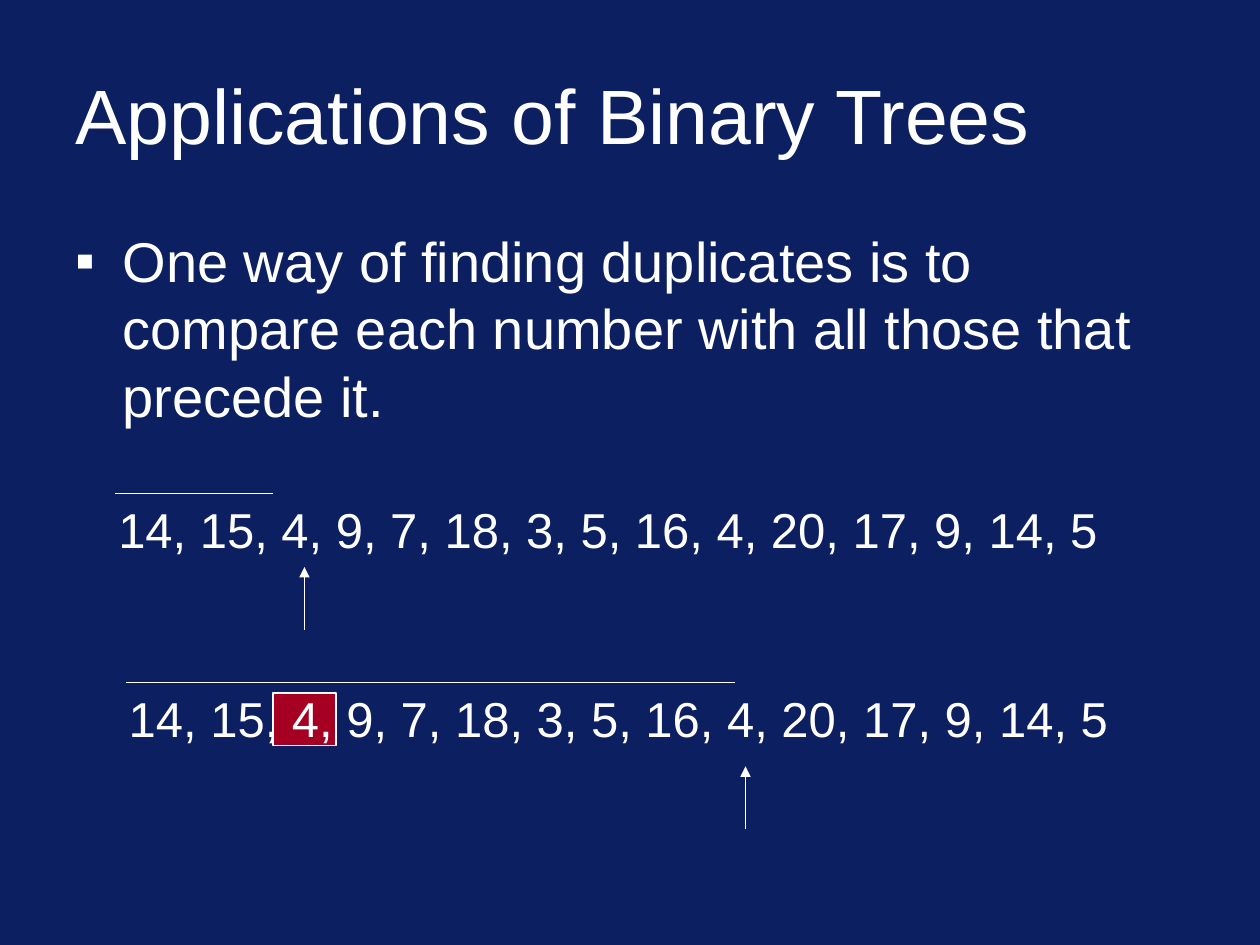
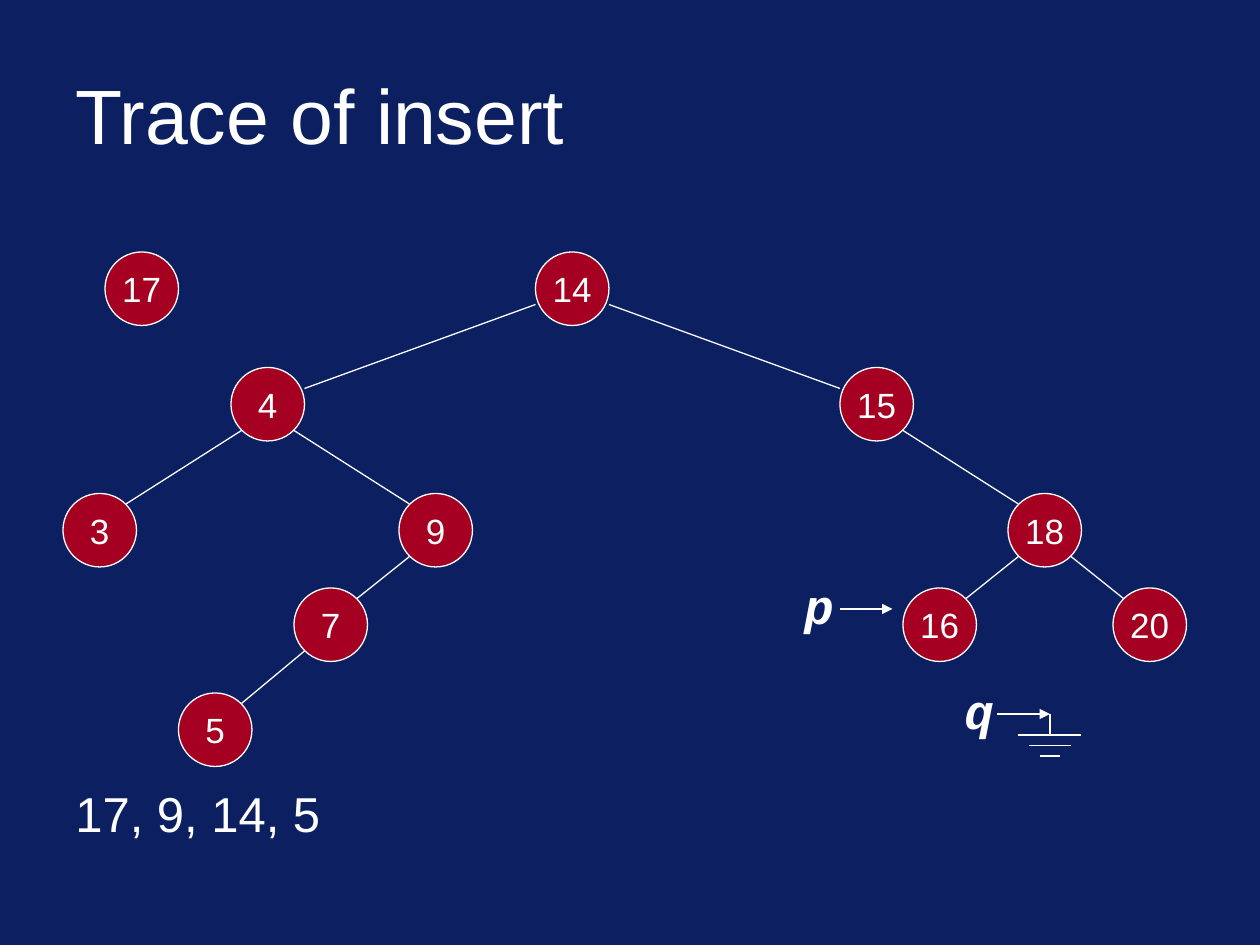
from lxml.etree import SubElement
from pptx import Presentation
from pptx.dml.color import RGBColor
from pptx.enum.shapes import MSO_CONNECTOR, MSO_SHAPE
from pptx.enum.text import MSO_ANCHOR, MSO_AUTO_SIZE, PP_ALIGN
from pptx.oxml.ns import qn
from pptx.util import Inches, Pt

CELL = 1 / 12  # inches; every position is counted in these grid cells
NAVY, RED, WHITE = "0B1F61", "A50021", "FFFFFF"
TITLE_BOX = (6, 4.8, 108, 12)
LINE_HEIGHT = 6.8
NODE_SIZE = 7
NUMBERS = "14, 15, 4, 9, 7, 18, 3, 5, 16, 4, 20, 17, 9, 14, 5"
POINTER_FONT = {"name": "Courier New", "bold": True, "italic": True}

# Left and top of each node
NODES = {
    14: (51, 24), 15: (80, 35), 4: (22, 35), 9: (38, 47), 7: (28, 56),
    18: (96, 47), 3: (6, 47), 5: (17, 66), 16: (86, 56), 20: (106, 56),
    17: (10, 24),
}
ROOT = 14
EDGES = [(14, 15), (14, 4), (4, 9), (9, 7), (15, 18), (4, 3), (7, 5),
         (18, 16), (18, 20)]


def color(hex_string):
    return RGBColor.from_string(hex_string)


def cells(*counts):
    return [Inches(count * CELL) for count in counts]


def write(shape, text, size, align=PP_ALIGN.LEFT, anchor=MSO_ANCHOR.TOP,
          wrap=True, **font_values):
    frame = shape.text_frame
    frame.word_wrap = wrap
    frame.vertical_anchor = anchor
    paragraph = frame.paragraphs[0]
    paragraph.alignment = align
    run = paragraph.add_run()
    run.text = text
    for name, value in {"name": "Arial", "size": Pt(size), **font_values}.items():
        setattr(run.font, name, value)
    run.font.color.rgb = color(WHITE)
    return paragraph


def add_text(slide, box, text, size, **options):
    return write(slide.shapes.add_textbox(*cells(*box)), text, size, **options)


def add_centered_line(slide, box, text, size, **options):
    """Add text that stays on one line, in a box that grows to hold it."""
    text_box = slide.shapes.add_textbox(*cells(*box))
    text_box.text_frame.auto_size = MSO_AUTO_SIZE.SHAPE_TO_FIT_TEXT
    write(text_box, text, size, align=PP_ALIGN.CENTER, wrap=False, **options)


def add_bullet(paragraph):
    properties = paragraph._p.get_or_add_pPr()
    indent = Inches(0.375)
    properties.set("marL", str(indent))
    properties.set("indent", str(-indent))
    SubElement(properties, qn("a:buFont"), typeface="Arial")
    SubElement(properties, qn("a:buChar"), char="▪")


def add_red_shape(slide, kind, box):
    shape = slide.shapes.add_shape(kind, *cells(*box))
    shape.shadow.inherit = False
    shape.fill.solid()
    shape.fill.fore_color.rgb = color(RED)
    shape.line.color.rgb = color(WHITE)
    shape.line.width = Pt(0.75)
    return shape


def add_line(slide, start, end, arrow=False):
    """Draw a thin white line; an arrow points at its end."""
    line = slide.shapes.add_connector(MSO_CONNECTOR.STRAIGHT, *cells(*start, *end))
    line.line.color.rgb = color(WHITE)
    line.line.width = Pt(0.75)
    if arrow:
        SubElement(line.line._get_or_add_ln(), qn("a:tailEnd"), type="triangle")
    SubElement(line._element.spPr, qn("a:effectLst"))


def add_slide(presentation, title):
    slide = presentation.slides.add_slide(presentation.slide_layouts[6])
    add_text(slide, TITLE_BOX, title, 44, anchor=MSO_ANCHOR.MIDDLE)
    return slide


def add_number_row(slide, left, top, compared, pointer, pointer_top):
    """Write the numbers, overline those compared and point at the current one."""
    add_centered_line(slide, (left, top, 96, LINE_HEIGHT), NUMBERS, 28)
    add_line(slide, (compared[0], top), (compared[1], top))
    add_line(slide, (pointer, pointer_top + 6), (pointer, pointer_top), arrow=True)


def add_node(slide, value):
    node = add_red_shape(slide, MSO_SHAPE.OVAL, (*NODES[value], NODE_SIZE, NODE_SIZE))
    write(node, str(value), 20, align=PP_ALIGN.CENTER, anchor=MSO_ANCHOR.MIDDLE,
          wrap=False)


def add_edge(slide, parent, child):
    """Join two nodes; the wide edges of the root leave and arrive at the sides."""
    inset, drop, arrival = (0, 5, 2) if parent == ROOT else (1, 6, 1)
    (parent_left, parent_top), (child_left, child_top) = NODES[parent], NODES[child]
    near, far = inset, NODE_SIZE - inset
    leave, arrive = (far, near) if child_left > parent_left else (near, far)
    add_line(slide, (parent_left + leave, parent_top + drop),
             (child_left + arrive, child_top + arrival))


def add_pointer(slide, name, box, arrow_left, arrow_top):
    add_centered_line(slide, box, name, 28, **POINTER_FONT)
    add_line(slide, (arrow_left, arrow_top), (arrow_left + 5, arrow_top), arrow=True)


def add_ground(slide, center, top):
    """Draw the null symbol: a stem over three shrinking bars."""
    for row, half_width in enumerate((3, 2, 1)):
        bar_top = top + 2 + row
        add_line(slide, (center - half_width, bar_top), (center + half_width, bar_top))
    add_line(slide, (center, top), (center, top + 2))


def build_duplicates_slide(presentation):
    slide = add_slide(presentation, "Applications of Binary Trees")
    add_red_shape(slide, MSO_SHAPE.RECTANGLE, (26, 66, 6, 5))
    add_bullet(add_text(
        slide, (6, 21, 108, 24),
        "One way of finding duplicates is to compare each number "
        "with all those that precede it.", 32))
    add_number_row(slide, 9.9, 47, compared=(11, 26), pointer=29, pointer_top=54)
    add_number_row(slide, 10.9, 65, compared=(12, 70), pointer=71, pointer_top=73)


def build_trace_slide(presentation):
    slide = add_slide(presentation, "Trace of insert")
    add_text(slide, (6, 74, 108, 9), "17, 9, 14, 5", 28)
    for value in NODES:
        add_node(slide, value)
    for parent, child in EDGES:
        add_edge(slide, parent, child)
    add_pointer(slide, "p", (75.4, 54.2, 5.2, LINE_HEIGHT), 80, 58)
    add_pointer(slide, "q", (90.5, 64.2, 5.5, LINE_HEIGHT), 95, 68)
    add_ground(slide, 100, 68)


def main():
    presentation = Presentation()
    presentation.slide_width, presentation.slide_height = cells(120, 90)
    background = presentation.slide_master.background.fill
    background.solid()
    background.fore_color.rgb = color(NAVY)
    build_duplicates_slide(presentation)
    build_trace_slide(presentation)
    presentation.save("out.pptx")


if __name__ == "__main__":
    main()
